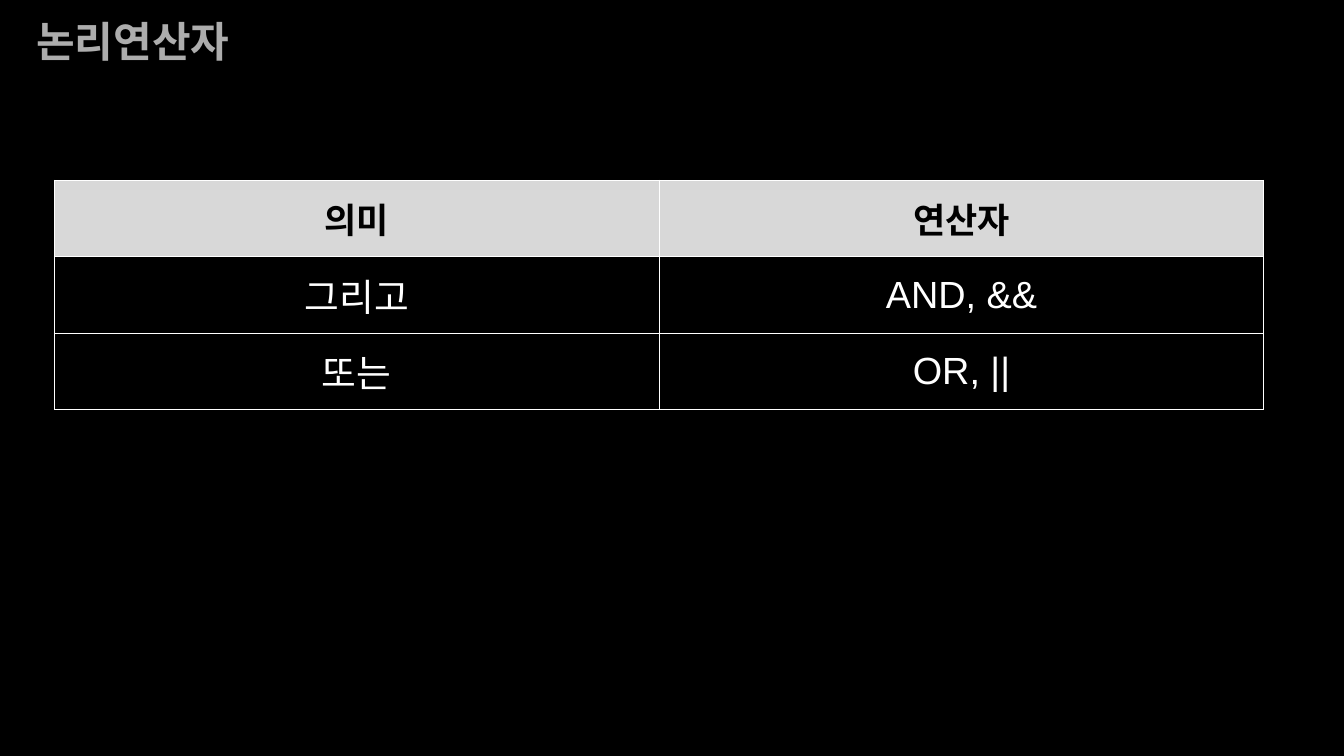
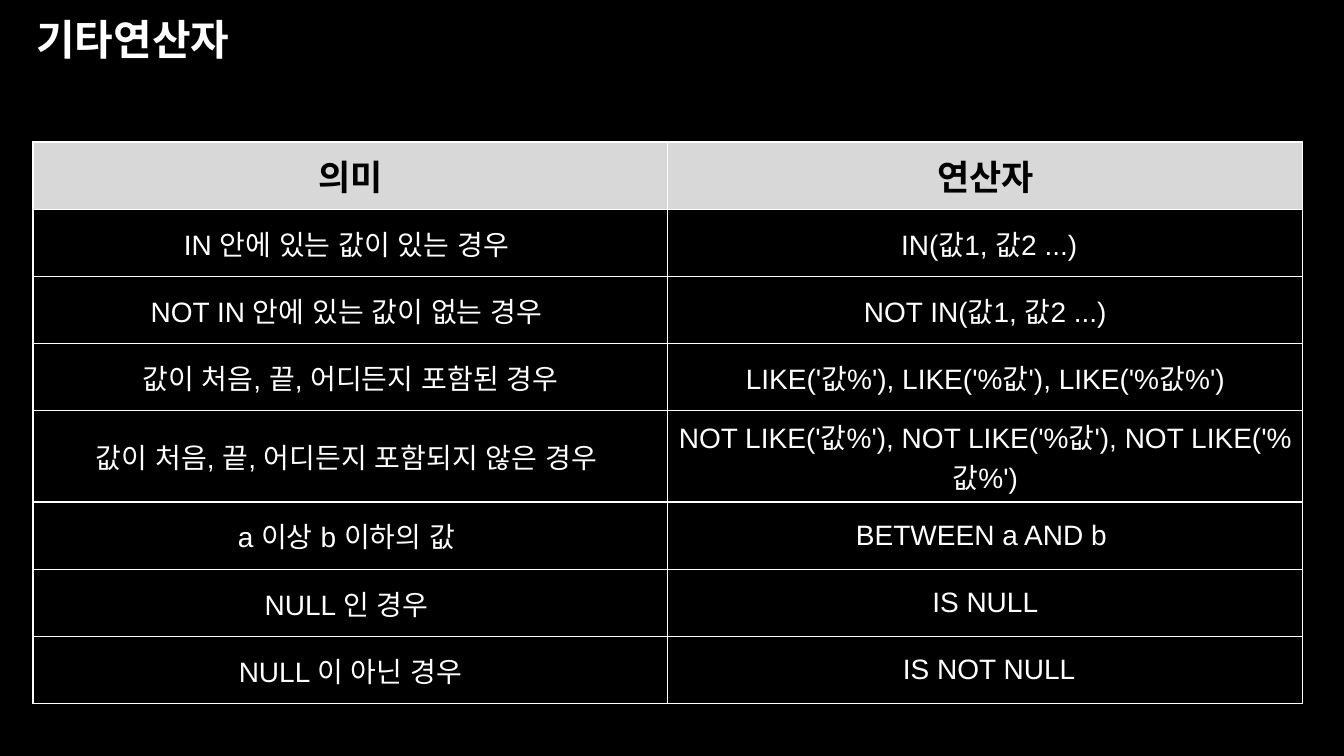
from dataclasses import dataclass

from lxml import etree
from pptx import Presentation
from pptx.dml.color import RGBColor
from pptx.enum.lang import MSO_LANGUAGE_ID
from pptx.enum.text import MSO_ANCHOR, MSO_AUTO_SIZE, PP_ALIGN
from pptx.oxml.ns import qn
from pptx.util import Cm, Pt

KOREAN = MSO_LANGUAGE_ID.KOREAN
MIDDLE = MSO_ANCHOR.MIDDLE
NO_AUTOFIT = MSO_AUTO_SIZE.NONE
LEFT, CENTER = PP_ALIGN.LEFT, PP_ALIGN.CENTER
TITLE_ONLY = 5


@dataclass(frozen=True)
class Theme:
    background: RGBColor = RGBColor(0x00, 0x00, 0x00)
    text: RGBColor = RGBColor(0xFF, 0xFF, 0xFF)
    muted: RGBColor = RGBColor(0xAD, 0xAD, 0xAD)
    header_fill: RGBColor = RGBColor(0xD8, 0xD8, 0xD8)
    header_text: RGBColor = RGBColor(0x00, 0x00, 0x00)
    title_font: str = "Cabin"
    table_font: str = "Arial"
    title_size: Pt = Pt(30)
    header_size: Pt = Pt(25)
    large_size: Pt = Pt(27)
    small_size: Pt = Pt(20)
    border_width: Pt = Pt(1)


@dataclass(frozen=True)
class Box:
    left: float
    top: float
    width: float
    height: float

    def lengths(self):
        return tuple(Cm(value) for value in (self.left, self.top, self.width, self.height))


THEME = Theme()
HEADER = ("의미", "연산자")
LOGICAL_OPERATORS = (
    ("그리고", "AND, &&"),
    ("또는", "OR, ||"),
)
OTHER_OPERATORS = (
    ("IN 안에 있는 값이 있는 경우 ", " IN(값1, 값2 ...)"),
    ("NOT IN 안에 있는 값이 없는 경우 ", "NOT IN(값1, 값2 ...)"),
    ("값이 처음, 끝, 어디든지 포함된 경우", "LIKE('값%'), LIKE('%값'), LIKE('%값%')"),
    (
        "값이 처음, 끝, 어디든지 포함되지 않은 경우 ",
        "NOT LIKE('값%'), NOT LIKE('%값'), NOT LIKE('%값%')",
    ),
    ("a 이상 b 이하의 값 ", "BETWEEN a AND b "),
    ("NULL 인 경우 ", "IS NULL"),
    ("NULL 이 아닌 경우", " IS NOT NULL"),
)


def set_attributes(target, values):
    for name, value in values.items():
        setattr(target, name, value)


def write_text(text_frame, text, alignment, color, font_values):
    paragraph = text_frame.paragraphs[0]
    paragraph.alignment = alignment
    run = paragraph.add_run()
    run.text = text
    set_attributes(run.font, {"language_id": KOREAN, **font_values})
    run.font.color.rgb = color


def add_title(slide, box, text, color):
    title = slide.shapes.title
    set_attributes(title, dict(zip(("left", "top", "width", "height"), box.lengths())))
    set_attributes(
        title.text_frame,
        {"vertical_anchor": MIDDLE, "word_wrap": True, "auto_size": NO_AUTOFIT},
    )
    font_values = {"name": THEME.title_font, "size": THEME.title_size, "bold": True}
    write_text(title.text_frame, text, LEFT, color, font_values)


def add_borders(cell):
    properties = cell._tc.get_or_add_tcPr()
    for edge in ("a:lnL", "a:lnR", "a:lnT", "a:lnB"):
        line = etree.SubElement(properties, qn(edge), w=str(THEME.border_width))
        fill = etree.SubElement(line, qn("a:solidFill"))
        etree.SubElement(fill, qn("a:srgbClr"), val=str(THEME.text))


def format_cell(cell, text, is_header, body_size):
    cell.vertical_anchor = MIDDLE
    add_borders(cell)
    if is_header:
        cell.fill.solid()
        cell.fill.fore_color.rgb = THEME.header_fill
    else:
        cell.fill.background()
    font_values = {
        "name": THEME.table_font,
        "size": THEME.header_size if is_header else body_size,
        "bold": is_header,
    }
    color = THEME.header_text if is_header else THEME.text
    write_text(cell.text_frame, text, CENTER, color, font_values)


def add_operator_table(slide, box, operators, body_size):
    rows = (HEADER, *operators)
    table = slide.shapes.add_table(len(rows), len(HEADER), *box.lengths()).table
    table.horz_banding = False
    for row_index, texts in enumerate(rows):
        for column_index, text in enumerate(texts):
            cell = table.cell(row_index, column_index)
            format_cell(cell, text, row_index == 0, body_size)


def add_operator_slide(presentation, title, title_color, title_box, operators, table_box, body_size):
    slide = presentation.slides.add_slide(presentation.slide_layouts[TITLE_ONLY])
    add_title(slide, title_box, title, title_color)
    add_operator_table(slide, table_box, operators, body_size)


def main():
    presentation = Presentation()
    set_attributes(presentation, {"slide_width": Cm(33.87), "slide_height": Cm(19.05)})
    background = presentation.slide_master.background.fill
    background.solid()
    background.fore_color.rgb = THEME.background
    add_operator_slide(
        presentation, "논리연산자", THEME.muted, Box(0.66, 0, 30.48, 2.03),
        LOGICAL_OPERATORS, Box(1.37, 4.55, 30.48, 5.77), THEME.large_size,
    )
    add_operator_slide(
        presentation, "기타연산자", THEME.text, Box(0.66, 0, 30.48, 1.95),
        OTHER_OPERATORS, Box(0.83, 3.58, 32, 13.54), THEME.small_size,
    )
    presentation.save("out.pptx")


if __name__ == "__main__":
    main()
